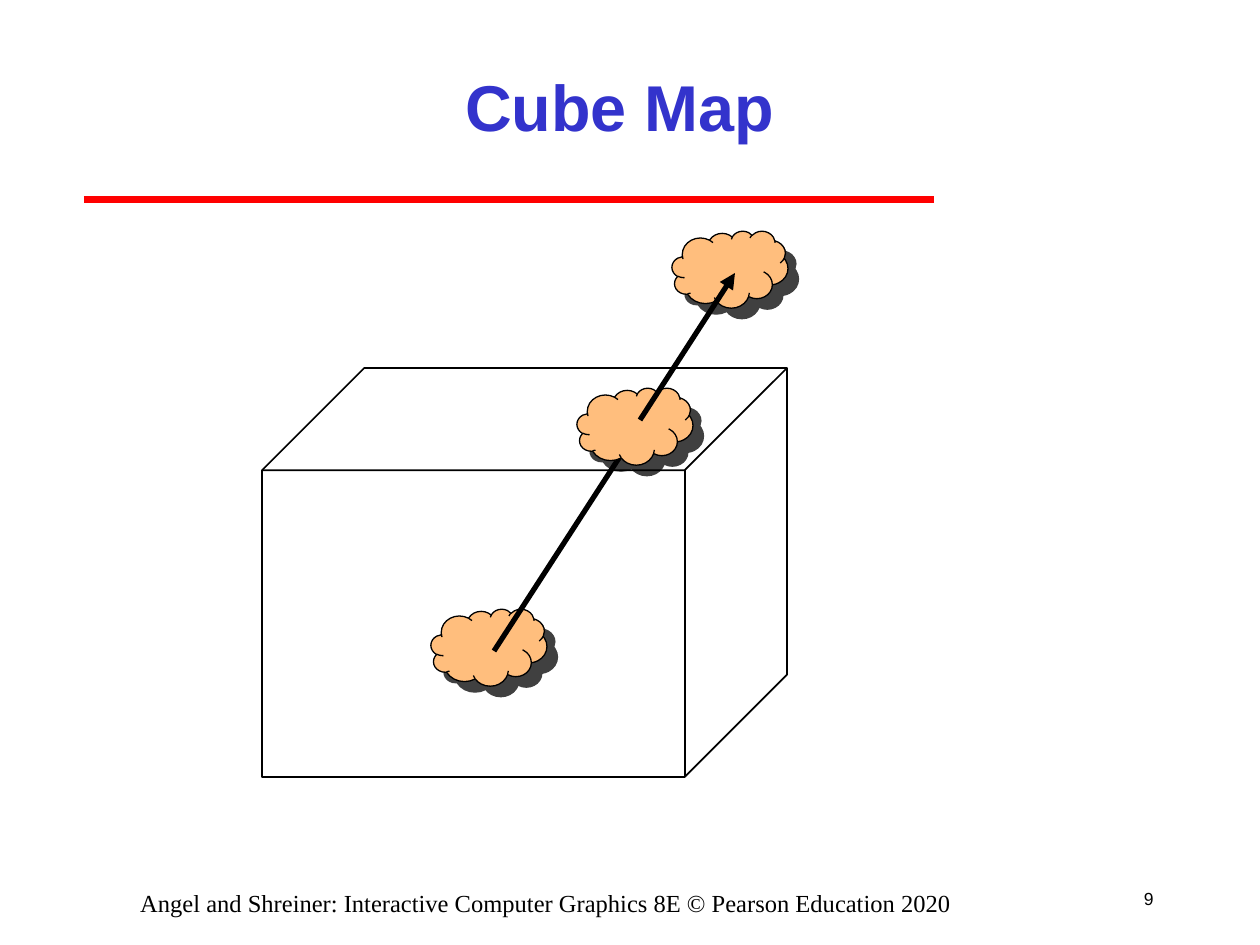
from lxml import etree
from pptx import Presentation
from pptx.dml.color import RGBColor
from pptx.enum.shapes import MSO_CONNECTOR, MSO_SHAPE
from pptx.enum.text import MSO_ANCHOR, PP_ALIGN
from pptx.oxml.ns import qn
from pptx.util import Pt

STRAIGHT = MSO_CONNECTOR.STRAIGHT
CLOUD = MSO_SHAPE.CLOUD
CUBE = MSO_SHAPE.CUBE
TOP = MSO_ANCHOR.TOP
MIDDLE = MSO_ANCHOR.MIDDLE
CENTER = PP_ALIGN.CENTER
RIGHT = PP_ALIGN.RIGHT

COLORS = {
    "title": "3333CC",
    "rule": "FF0000",
    "ink": "000000",
    "cloud": "FFBE7D",
}
SCALE = 914400 / 126


def px(*nums):
    return [round(num * SCALE) for num in nums]


def color(name):
    return RGBColor.from_string(COLORS[name])


def add_text(slide, box, text, font, size, ink, align, anchor, bold=False, wrap=True):
    frame = slide.shapes.add_textbox(*px(*box)).text_frame
    frame.word_wrap = wrap
    frame.vertical_anchor = anchor
    para = frame.paragraphs[0]
    para.text = text
    para.alignment = align
    para.font.name = font
    para.font.size = Pt(size)
    para.font.bold = bold
    para.font.color.rgb = color(ink)


def add_line(slide, start, end, ink, width, arrow=False):
    line = slide.shapes.add_connector(STRAIGHT, *px(*start, *end))
    line.line.color.rgb = color(ink)
    line.line.width = Pt(width)
    props = line._element.spPr
    if arrow:
        etree.SubElement(props.find(qn("a:ln")), qn("a:tailEnd"), type="triangle")
    etree.SubElement(props, qn("a:effectLst"))


def add_cloud(slide, box):
    cloud = slide.shapes.add_shape(CLOUD, *px(*box))
    cloud.fill.solid()
    cloud.fill.fore_color.rgb = color("cloud")
    cloud.line.color.rgb = color("ink")
    cloud.line.width = Pt(0.75)
    cloud.shadow.inherit = False
    effects = cloud._element.spPr.find(qn("a:effectLst"))
    shadow = etree.SubElement(
        effects, qn("a:outerShdw"), blurRad="0", dist=str(Pt(8.5)),
        dir=str(45 * 60000), algn="ctr", rotWithShape="0",
    )
    tint = etree.SubElement(shadow, qn("a:srgbClr"), val=COLORS["ink"])
    etree.SubElement(tint, qn("a:alpha"), val="75000")


def add_cube(slide, box):
    cube = slide.shapes.add_shape(CUBE, *px(*box))
    cube.adjustments[0] = 0.25
    cube.fill.background()
    cube.line.color.rgb = color("ink")
    cube.line.width = Pt(1)
    cube.shadow.inherit = False


def add_header(slide, box):
    left, top, width, height = box
    add_line(slide, (left, top + height), (left + 850, top + height), "rule", 4)
    add_text(slide, (left + 105, top, width, 147), "Cube Map", "Arial", 37,
             "title", CENTER, MIDDLE, bold=True)


def add_map(slide, box):
    left, top, width, height = box

    def at(x, y):
        return left + x, top + y

    size = 116, 77
    add_cloud(slide, (*at(169, 378), *size))
    add_cloud(slide, (*at(410, 0), *size))
    add_line(slide, at(232, 420), at(368, 210), "ink", 3, arrow=True)
    add_cube(slide, (*at(0, 137), width, height - 137))
    add_cloud(slide, (*at(315, 157), *size))
    add_line(slide, at(378, 189), at(473, 42), "ink", 3, arrow=True)


def add_footer(slide, box):
    left, top, width, height = box
    add_text(slide, (left + width - 53, top, 53, height), "9", "Arial", 10,
             "ink", RIGHT, MIDDLE, wrap=False)
    add_text(slide, (left, top + 10, 966, 32),
             "Angel and Shreiner: Interactive Computer Graphics 8E © Pearson Education 2020",
             "Times New Roman", 14, "ink", CENTER, TOP)


def main():
    deck = Presentation()
    deck.slide_width, deck.slide_height = px(1260, 945)
    slide = deck.slides.add_slide(deck.slide_layouts[6])
    add_header(slide, (84, 32, 861, 168))
    add_map(slide, (262, 231, 525, 546))
    add_footer(slide, (63, 872, 1103, 53))
    deck.save("out.pptx")


if __name__ == "__main__":
    main()
